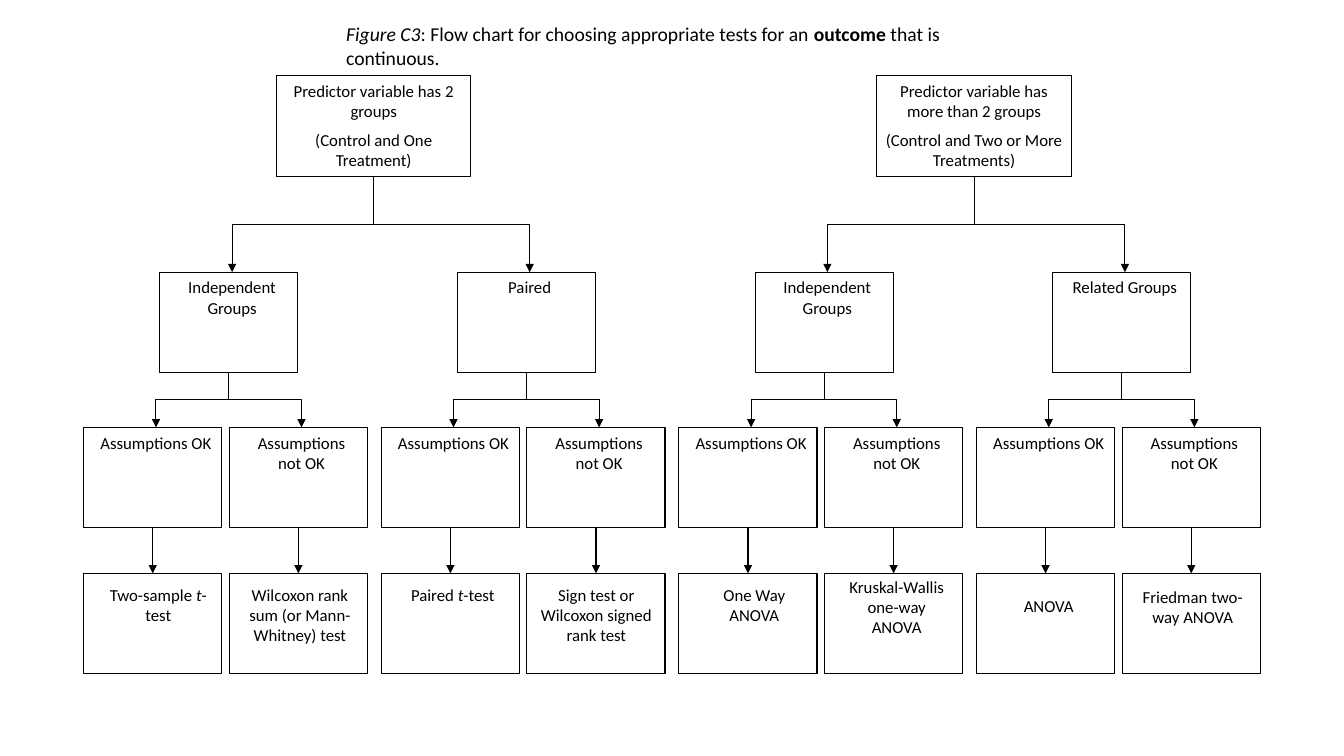
from dataclasses import dataclass

from lxml.etree import SubElement
from pptx import Presentation
from pptx.dml.color import RGBColor
from pptx.enum.shapes import MSO_CONNECTOR as Connector, MSO_SHAPE as Shape
from pptx.enum.text import MSO_ANCHOR as Anchor, MSO_AUTO_SIZE as AutoSize, PP_ALIGN as Align
from pptx.oxml.ns import qn
from pptx.util import Cm, Pt


@dataclass(frozen=True)
class Theme:
    ink: RGBColor = RGBColor(0, 0, 0)
    font: str = "Calibri"
    title_size: int = 14
    label_size: int = 12
    line_width: float = 0.75


@dataclass(frozen=True)
class Box:
    """A rectangle in centimetres."""
    left: float
    top: float
    width: float
    height: float

    @property
    def middle(self):
        return self.left + self.width / 2

    @property
    def bottom(self):
        return self.top + self.height

    def lengths(self):
        return [Cm(v) for v in (self.left, self.top, self.width, self.height)]


@dataclass(frozen=True)
class Test:
    """A recommended test: its runs, its line count and its label offset in the box."""
    runs: tuple
    lines: int
    dx: float
    dy: float = 0.15


THEME = Theme()
BOX_WIDTH, BOX_HEIGHT = 3.48, 2.52
DESIGN_TOP, ASSUMPTION_TOP, TEST_TOP = 6.86, 10.77, 14.45
BRANCH_LEFT, BRANCH_PITCH = 2.11, 7.5
DESIGN_SHIFT, LEAF_PITCH = 1.92, 3.67
LABEL_WIDTH, LABEL_DX = 3.3, 0.17

TITLE = (("Figure C3", "i"), (": Flow chart for choosing appropriate tests for an ", ""),
         ("outcome", "b"), (" that is continuous.", ""))
ASSUMPTIONS = (("Assumptions OK", 1), ("Assumptions not OK", 2))
PREDICTORS = (
    (Box(6.98, 1.91, 4.88, 2.54), 4.62,
     ("Predictor variable has 2 groups", "(Control and One Treatment)")),
    (Box(22.1, 1.91, 4.9, 2.54), 5.08,
     ("Predictor variable has more than 2 groups", "(Control and Two or More Treatments)")),
)
DESIGNS = (
    ("Independent Groups", 2, (
        Test((("Two-sample ", ""), ("t", "i"), ("-test", "")), 2, 0.23),
        Test((("Wilcoxon rank sum (or Mann-Whitney) test", ""),), 3, 0.13))),
    ("Paired", 1, (
        Test((("Paired ", ""), ("t", "i"), ("-test", "")), 1, 0.15),
        Test((("Sign test or Wilcoxon signed rank test", ""),), 3, 0.1))),
    ("Independent Groups", 2, (
        Test((("One Way ANOVA", ""),), 2, 0.25),
        Test((("Kruskal-Wallis one-way ANOVA", ""),), 3, 0.17, -0.05))),
    ("Related Groups", 1, (
        Test((("ANOVA", ""),), 1, 0.17, 0.43),
        Test((("Friedman two-way ANOVA", ""),), 2, 0.13, 0.2))),
)


def write_paragraph(paragraph, runs, size, align):
    paragraph.alignment = align
    space_before = SubElement(paragraph._p.get_or_add_pPr(), qn("a:spcBef"))
    SubElement(space_before, qn("a:spcPct")).set("val", "50000")
    for text, style in runs:
        run = paragraph.add_run()
        run.text = text
        run.font.name, run.font.size = THEME.font, Pt(size)
        run.font.color.rgb = THEME.ink
        run.font.bold, run.font.italic = style == "b", style == "i"


def add_label(shapes, box, paragraphs):
    frame = shapes.add_textbox(*box.lengths()).text_frame
    frame.word_wrap, frame.auto_size = True, AutoSize.SHAPE_TO_FIT_TEXT
    for index, runs in enumerate(paragraphs):
        paragraph = frame.add_paragraph() if index else frame.paragraphs[0]
        write_paragraph(paragraph, runs, THEME.label_size, Align.CENTER)


def add_process(shapes, box):
    process = shapes.add_shape(Shape.FLOWCHART_PROCESS, *box.lengths())
    process.shadow.inherit = False
    process.fill.background()
    process.line.color.rgb = THEME.ink
    process.line.width = Pt(THEME.line_width)
    return process


def add_step(shapes, box, runs, lines, dx=LABEL_DX, dy=0):
    """Draw a box with its label; return the box shape and the label's middle."""
    process = add_process(shapes, box)
    label = Box(box.left + dx, box.top + dy, LABEL_WIDTH, 0.25 + 0.51 * lines)
    add_label(shapes, label, [runs])
    return process, label.middle


def style_arrow(arrow):
    arrow.line.color.rgb = THEME.ink
    arrow.line.width = Pt(THEME.line_width)
    SubElement(arrow.line._get_or_add_ln(), qn("a:tailEnd")).set("type", "triangle")
    SubElement(arrow._element.spPr, qn("a:effectLst"))


def add_drop(shapes, upper, lower):
    arrow = shapes.add_connector(Connector.STRAIGHT, 0, 0, 0, 0)
    arrow.begin_connect(upper, 2)
    arrow.end_connect(lower, 0)
    style_arrow(arrow)


def add_elbow(shapes, x1, y1, x2, y2):
    """Run down, across and down: an elbow turned a quarter, mirrored when it goes right."""
    mid_x, mid_y = (x1 + x2) / 2, (y1 + y2) / 2
    reach, half = (y2 - y1) / 2, abs(x2 - x1) / 2
    goes_right = x2 > x1
    if goes_right:
        reach = -reach
    arrow = shapes.add_connector(Connector.ELBOW, Cm(mid_x - reach), Cm(mid_y - half),
                                 Cm(mid_x + reach), Cm(mid_y + half))
    arrow._element.spPr.find(qn("a:xfrm")).set("rot", str((270 if goes_right else 90) * 60000))
    style_arrow(arrow)


def place_title(title, box):
    title.left, title.top, title.width, title.height = box.lengths()
    frame = title.text_frame
    frame.word_wrap, frame.auto_size = True, AutoSize.SHAPE_TO_FIT_TEXT
    frame.vertical_anchor = Anchor.TOP
    write_paragraph(frame.paragraphs[0], TITLE, THEME.title_size, Align.LEFT)


def draw_predictor(shapes, box, label_width, lines):
    group = shapes.add_group_shape().shapes
    add_process(group, box)
    label = Box(box.middle - label_width / 2, box.top, label_width, box.height)
    add_label(group, label, [((line, ""),) for line in lines])


def draw_branch(shapes, left, design, lines, tests):
    """Draw a design with its assumptions and tests; return where its arrow lands."""
    design_box = Box(left + DESIGN_SHIFT, DESIGN_TOP, BOX_WIDTH, BOX_HEIGHT)
    _, landing = add_step(shapes, design_box, ((design, ""),), lines)
    for column, ((assumption, rows), test) in enumerate(zip(ASSUMPTIONS, tests)):
        leaf_left = left + column * LEAF_PITCH
        upper, middle = add_step(shapes, Box(leaf_left, ASSUMPTION_TOP, BOX_WIDTH, BOX_HEIGHT),
                                 ((assumption, ""),), rows)
        lower, _ = add_step(shapes, Box(leaf_left, TEST_TOP, BOX_WIDTH, BOX_HEIGHT),
                            test.runs, test.lines, test.dx, test.dy)
        add_elbow(shapes, design_box.middle, design_box.bottom, middle, ASSUMPTION_TOP)
        add_drop(shapes, upper, lower)
    return landing


def main():
    deck = Presentation()
    deck.slide_width, deck.slide_height = Cm(33.87), Cm(19.05)
    slide = deck.slides.add_slide(deck.slide_layouts[5])
    shapes = slide.shapes
    place_title(shapes.title, Box(8.47, 0.43, 16.93, 1.45))
    landings = [draw_branch(shapes, BRANCH_LEFT + index * BRANCH_PITCH, *design)
                for index, design in enumerate(DESIGNS)]
    for index, (box, label_width, lines) in enumerate(PREDICTORS):
        draw_predictor(shapes, box, label_width, lines)
        for landing in landings[2 * index:2 * index + 2]:
            add_elbow(shapes, box.middle, box.bottom, landing, DESIGN_TOP)
    deck.save("out.pptx")


if __name__ == "__main__":
    main()
